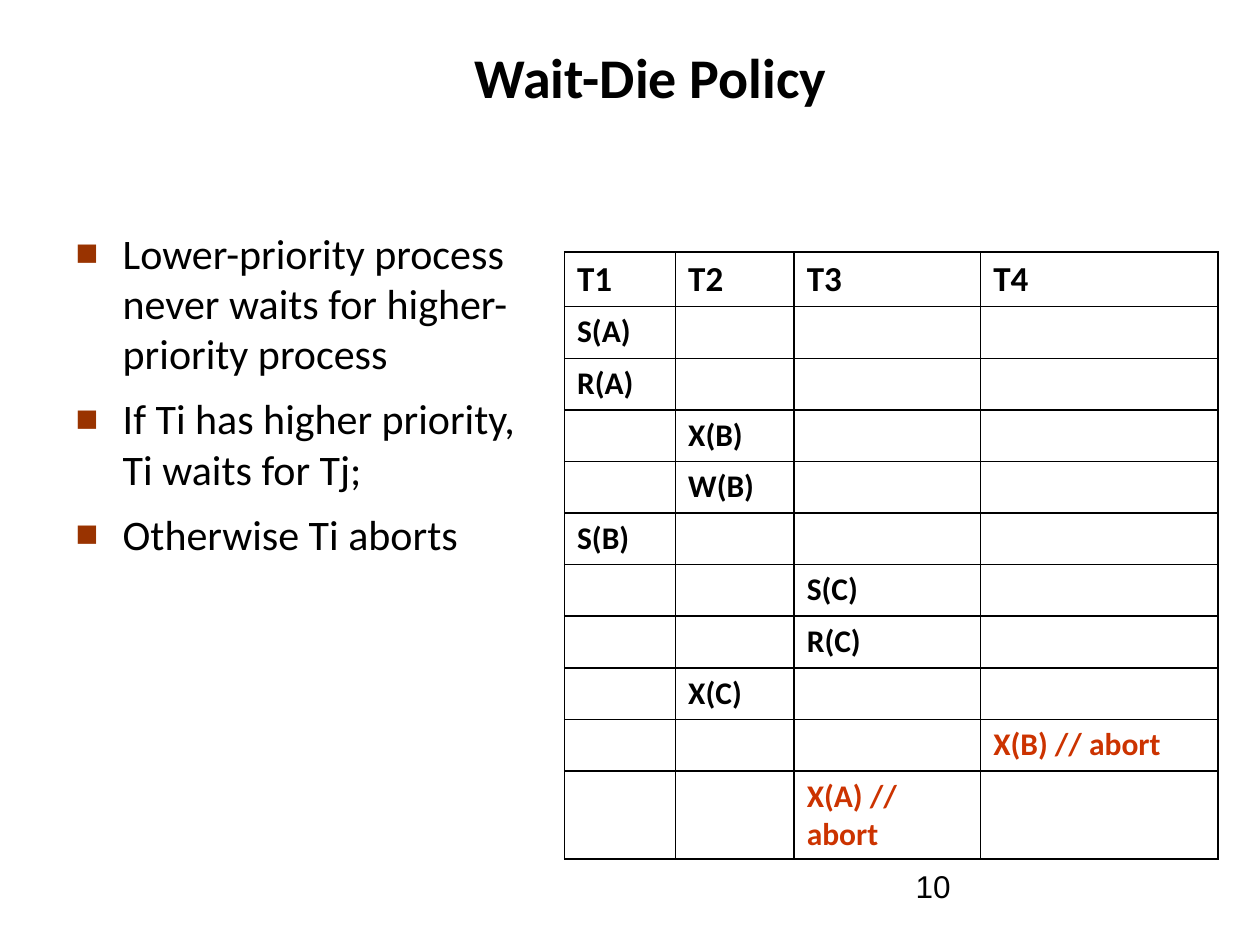
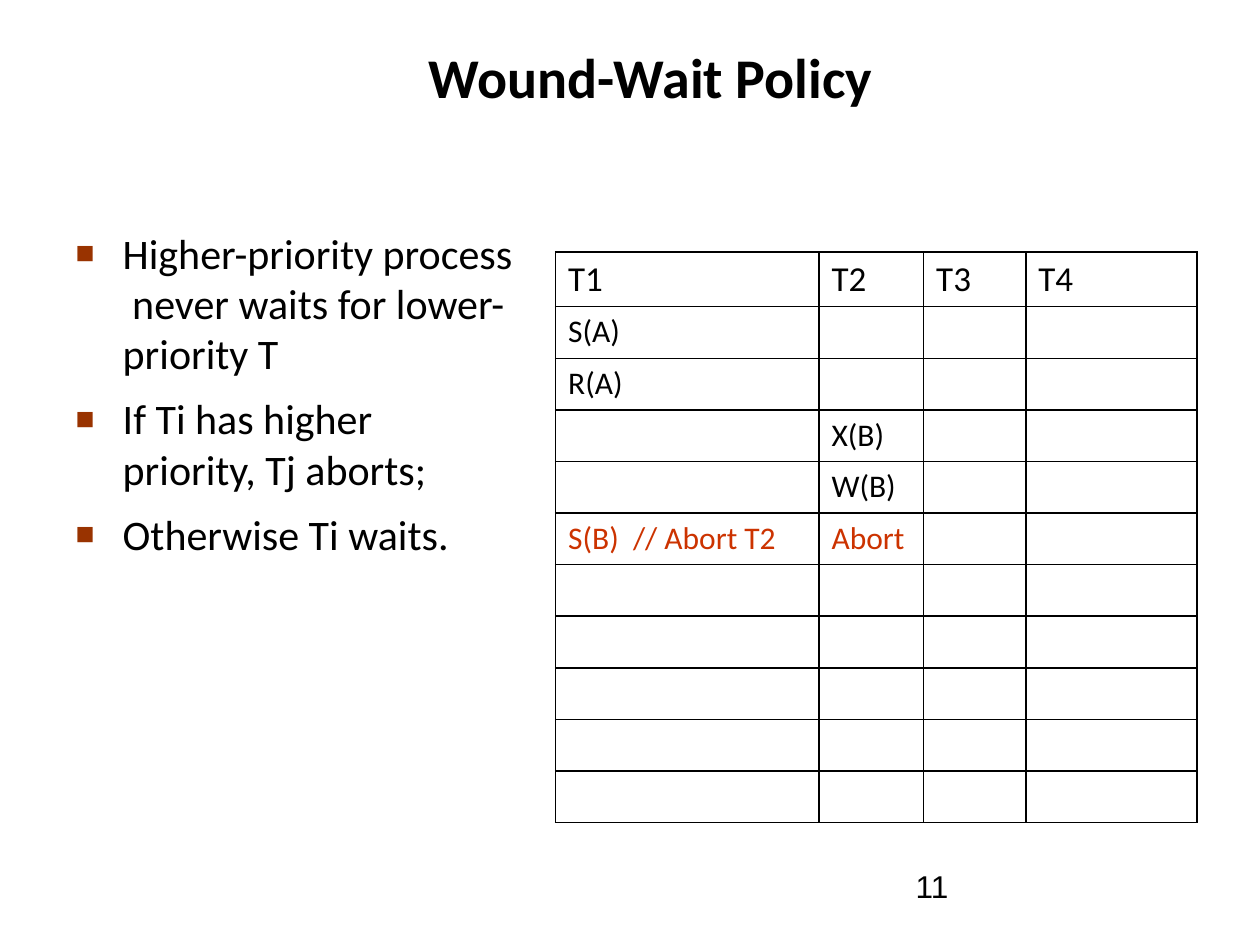
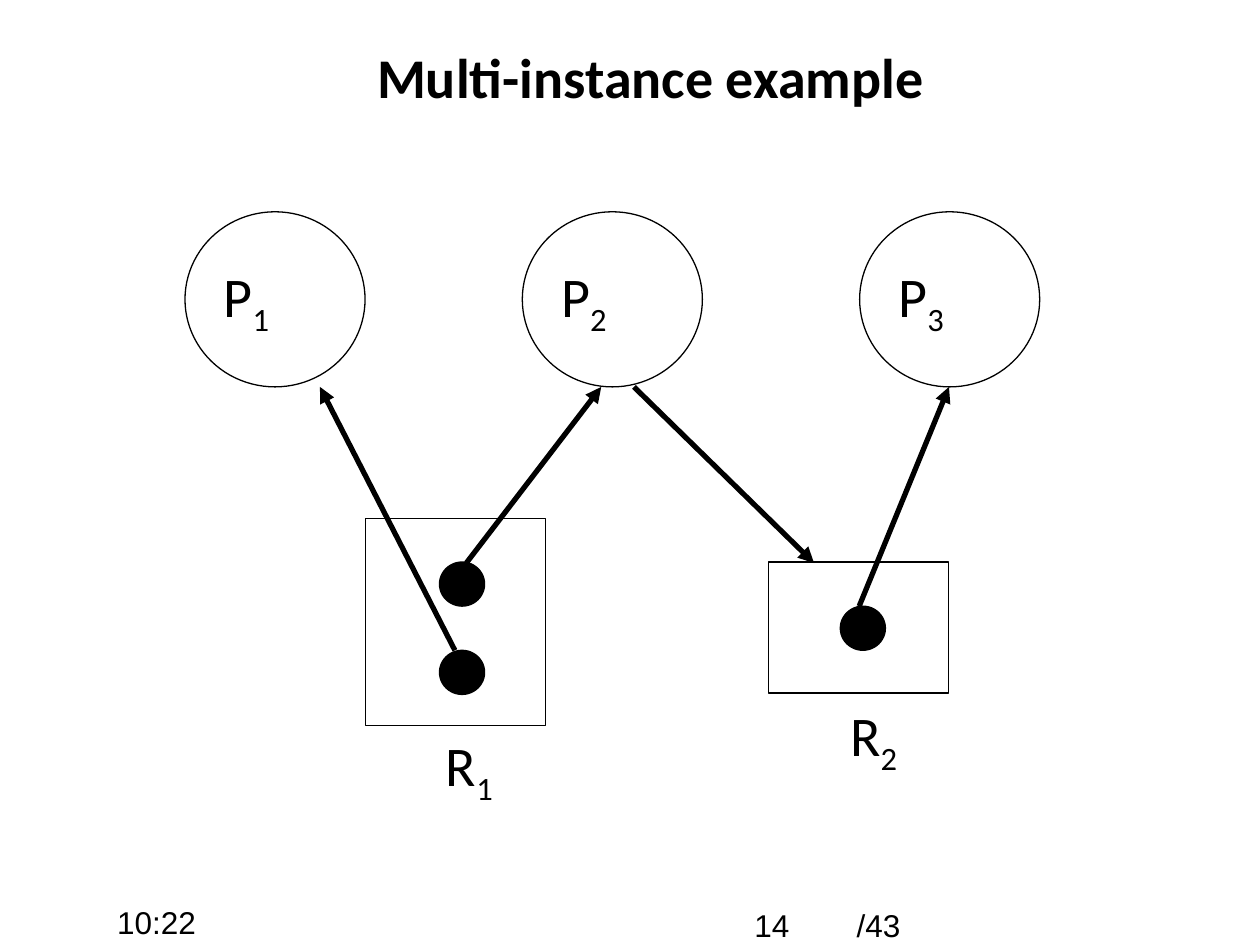
from lxml.etree import SubElement
from pptx import Presentation
from pptx.dml.color import RGBColor
from pptx.enum.shapes import MSO_CONNECTOR, MSO_SHAPE
from pptx.enum.text import MSO_ANCHOR, MSO_AUTO_SIZE, PP_ALIGN
from pptx.oxml.ns import qn
from pptx.util import Cm, Pt

BLACK = RGBColor(0, 0, 0)
WHITE = RGBColor(255, 255, 255)
RED = RGBColor(0xCC, 0x33, 0x00)
RUST = RGBColor(0x99, 0x33, 0x00)
FACE = "Calibri"
PLAIN = "Arial"
HEADS = ["T1", "T2", "T3", "T4"]


def box(*sizes):
    return [Cm(size) for size in sizes]


def place(shape, *sizes):
    shape.left, shape.top, shape.width, shape.height = box(*sizes)


def style(para, size, color=BLACK, bold=False, face=FACE):
    for run in para.runs:
        font = run.font
        font.name, font.size, font.bold = face, Pt(size), bold
        font.color.rgb = color


class Deck:
    def __init__(self):
        self.prs = Presentation()
        self.prs.slide_width, self.prs.slide_height = box(25.4, 19.05)
        self.slide = None

    def start(self, title, layout):
        self.slide = self.prs.slides.add_slide(self.prs.slide_layouts[layout])
        shape = self.slide.shapes.title
        place(shape, 1.9, 0.64, 22.43, 1.7)
        frame = shape.text_frame
        frame.text = title
        frame.auto_size = MSO_AUTO_SIZE.NONE
        frame.vertical_anchor = MSO_ANCHOR.BOTTOM
        frame.paragraphs[0].alignment = PP_ALIGN.CENTER
        style(frame.paragraphs[0], 32, bold=True)

    def points(self, items, width, scale):
        shape = self.slide.placeholders[1]
        place(shape, 1.27, 4.45, width, 12.57)
        frame = shape.text_frame
        frame.text = "\n".join(items)
        frame.auto_size = MSO_AUTO_SIZE.NONE
        for para in frame.paragraphs:
            para.space_before, para.space_after = Pt(0), Pt(8.4)
            style(para, 24)
            self.bullet(para, scale)

    def bullet(self, para, scale):
        props = para._p.get_or_add_pPr()
        props.set("marL", str(Cm(0.95)))
        props.set("indent", str(Cm(-0.95)))
        color = SubElement(props, qn("a:buClr"))
        SubElement(color, qn("a:srgbClr"), val=str(RUST))
        SubElement(props, qn("a:buSzPct"), val=str(scale * 1000))
        SubElement(props, qn("a:buFont"), typeface=PLAIN)
        SubElement(props, qn("a:buChar"), char="■")

    def table(self, left, widths, steps, bold):
        rows = [dict(enumerate(HEADS))] + steps
        area = box(left, 5.08, sum(widths), 1.04 * len(rows))
        grid = self.slide.shapes.add_table(len(rows), len(widths), *area).table
        grid.first_row = grid.horz_banding = False
        for col, width in zip(grid.columns, widths):
            col.width = Cm(width)
        for i, row in enumerate(rows):
            grid.rows[i].height = Cm(1.04)
            for j in range(len(widths)):
                self.cell(grid.cell(i, j), row.get(j, ""), 18 if i else 20, bold)

    def cell(self, cell, text, size, bold):
        props = cell._tc.get_or_add_tcPr()
        for side in "LRTB":
            edge = SubElement(props, qn("a:ln" + side), w=str(Pt(1)))
            fill = SubElement(edge, qn("a:solidFill"))
            SubElement(fill, qn("a:srgbClr"), val=str(BLACK))
        cell.fill.solid()
        cell.fill.fore_color.rgb = WHITE
        if text:
            cell.text_frame.text = text
            color = RED if "abort" in text.lower() else BLACK
            style(cell.text_frame.paragraphs[0], size, color, bold)

    def note(self, text, left, top, width=5.92):
        frame = self.slide.shapes.add_textbox(*box(left, top, width, 1.32)).text_frame
        frame.word_wrap = True
        frame.text = text
        style(frame.paragraphs[0], 18, face=PLAIN)

    def name(self, shape, letter, index):
        para = shape.text_frame.paragraphs[0]
        para.alignment = PP_ALIGN.LEFT
        para.add_run().text = letter
        low = para.add_run()
        low.text = str(index)
        style(para, 32)
        low._r.get_or_add_rPr().set("baseline", "-25000")

    def label(self, letter, index, left, top):
        shape = self.slide.shapes.add_textbox(*box(left, top, 3.63, 2.2))
        shape.text_frame.word_wrap = True
        shape.text_frame.margin_left = Cm(1.04)
        self.name(shape, letter, index)

    def shape(self, kind, area, color=WHITE):
        shape = self.slide.shapes.add_shape(kind, *box(*area))
        shape.shadow.inherit = False
        shape.fill.solid()
        shape.fill.fore_color.rgb = color
        shape.line.color.rgb = BLACK
        shape.line.width = Pt(0.75)
        return shape

    def dot(self, left, top):
        self.shape(MSO_SHAPE.OVAL, (left, top, 0.91, 0.89), BLACK)

    def arrow(self, *ends):
        line = self.slide.shapes.add_connector(MSO_CONNECTOR.STRAIGHT, *box(*ends))
        line.line.color.rgb = BLACK
        line.line.width = Pt(3)
        props = line._element.spPr
        SubElement(props.find(qn("a:ln")), qn("a:tailEnd"), type="triangle")
        SubElement(props, qn("a:effectLst"))


def main():
    deck = Deck()
    first = [{0: "S(A)"}, {0: "R(A)"}, {1: "X(B)"}, {1: "W(B)"}]

    deck.start("Wait-Die Policy", 1)
    deck.note("10", 18.21, 17.35)
    deck.points([
        "Lower-priority process never waits for higher-priority process",
        "If Ti has higher priority, Ti waits for Tj;",
        "Otherwise Ti aborts",
    ], 9.78, 90)
    steps = first + [
        {0: "S(B)"}, {2: "S(C)"}, {2: "R(C)"}, {1: "X(C)"},
        {3: "X(B) // abort"}, {2: "X(A) // abort"},
    ]
    deck.table(11.38, [2.24, 2.39, 3.76, 4.78], steps, True)

    deck.start("Wound-Wait Policy", 1)
    deck.note("11", 18.21, 17.35)
    deck.points([
        "Higher-priority process  never waits for lower-priority T",
        "If Ti has higher priority, Tj aborts;",
        "Otherwise Ti waits.",
    ], 9.35, 75)
    steps = first + [{0: "S(B)  // Abort T2", 1: "Abort"}] + [{}] * 5
    deck.table(11.2, [5.31, 2.11, 2.06, 3.45], steps, False)

    deck.start("Multi-instance example", 5)
    deck.note("10:22", 2.11, 18.08)
    deck.note("/43", 17.02, 18.14, 8.05)
    deck.note("14", 14.96, 18.14)
    for i in range(3):
        ring = deck.shape(MSO_SHAPE.OVAL, (3.73 + 6.8 * i, 4.27, 3.63, 3.53))
        deck.name(ring, "P", i + 1)
    deck.label("R", 2, 16.1, 14)
    deck.shape(MSO_SHAPE.RECTANGLE, (15.49, 11.33, 3.63, 2.64))
    deck.label("R", 1, 7.95, 14.6)
    deck.shape(MSO_SHAPE.RECTANGLE, (7.37, 10.46, 3.63, 4.17))
    for left, top in [(16.94, 12.22), (8.86, 11.33), (8.86, 13.11)]:
        deck.dot(left, top)
    deck.arrow(9.17, 13.11, 6.45, 7.8)
    deck.arrow(9.4, 11.35, 12.12, 7.8)
    deck.arrow(17.32, 12.22, 19.13, 7.8)
    deck.arrow(12.78, 7.8, 16.41, 11.35)

    deck.prs.save("out.pptx")


if __name__ == "__main__":
    main()
